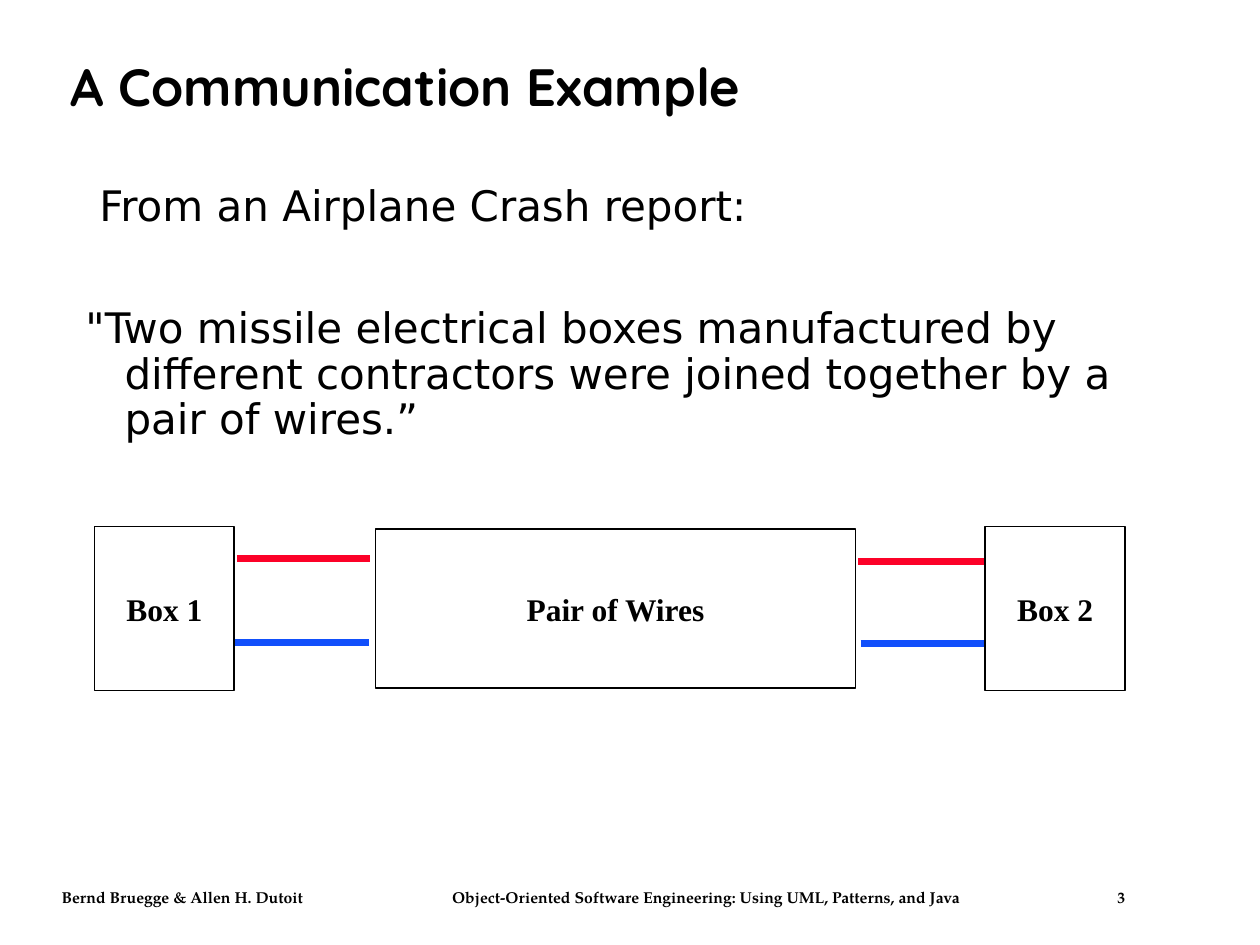
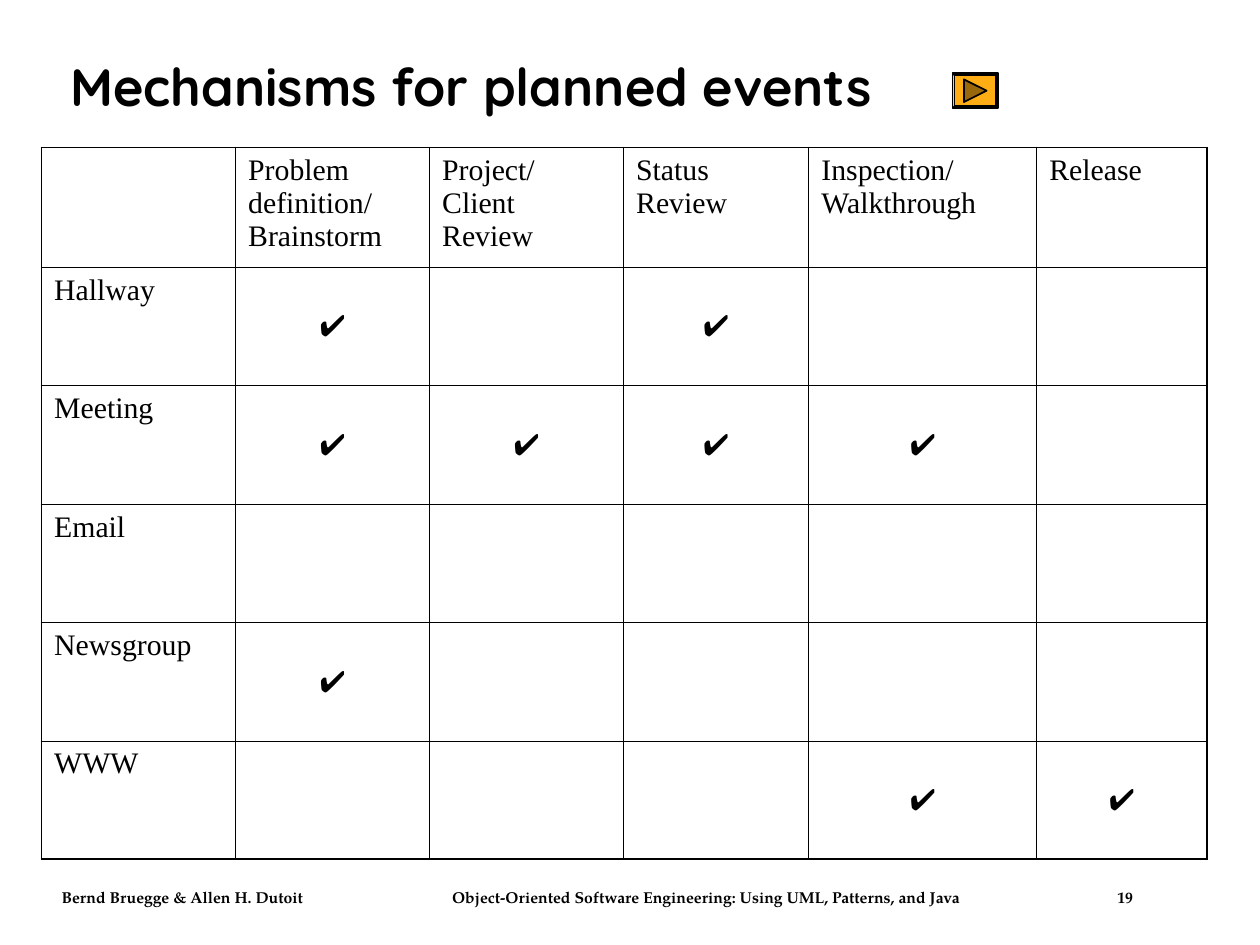
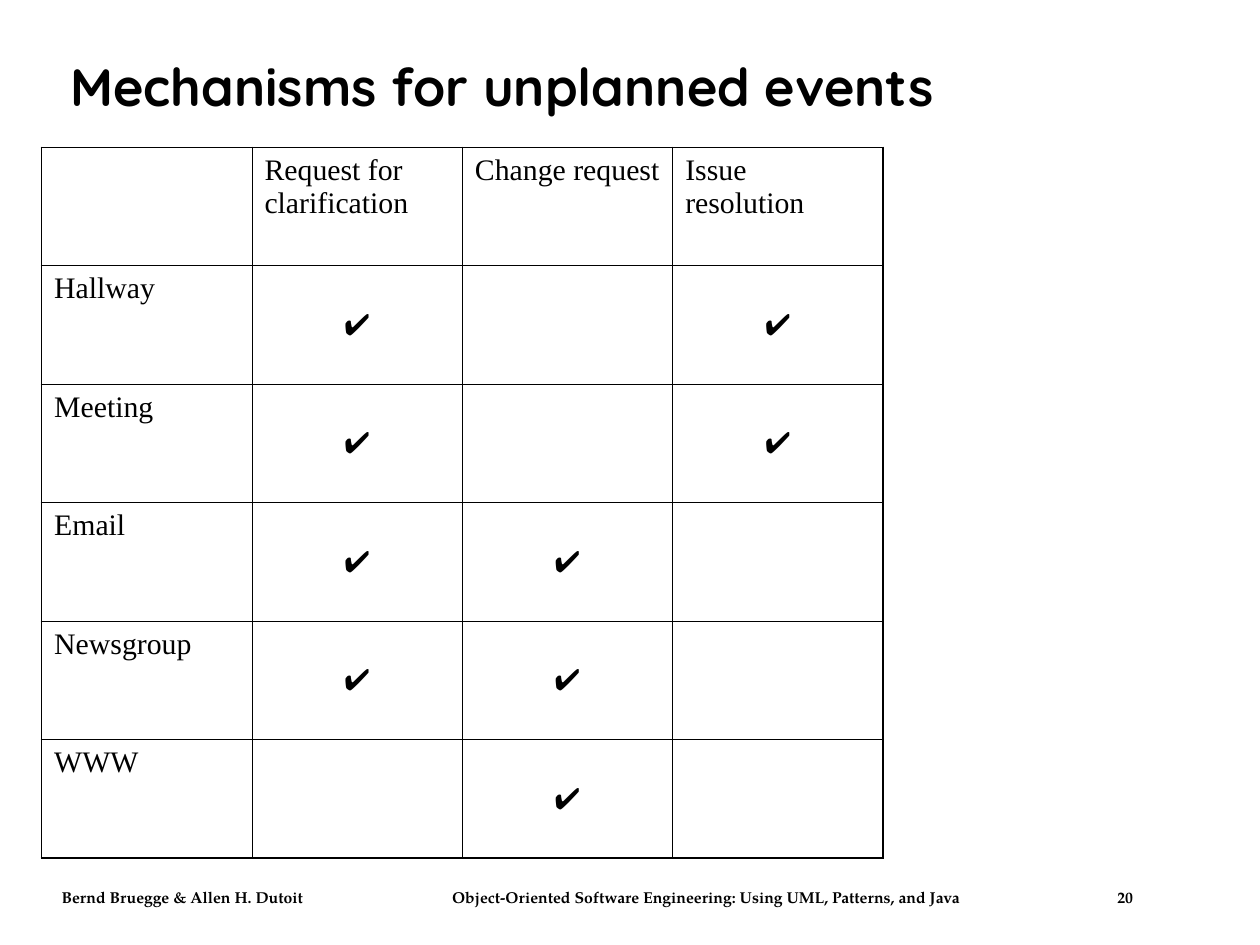
from collections import namedtuple

from lxml.etree import SubElement
from pptx import Presentation
from pptx.dml.color import RGBColor
from pptx.enum.shapes import MSO_CONNECTOR, MSO_SHAPE
from pptx.enum.text import MSO_ANCHOR, PP_ALIGN
from pptx.oxml.ns import qn
from pptx.util import Inches, Pt

BLACK = RGBColor(0x00, 0x00, 0x00)
WHITE = RGBColor(0xFF, 0xFF, 0xFF)
RED = RGBColor(0xFC, 0x01, 0x28)
BLUE = RGBColor(0x11, 0x4F, 0xFB)
ORANGE = RGBColor(0xFF, 0xAD, 0x14)
BROWN = RGBColor(0x99, 0x68, 0x0C)

TITLE_FONT = "Quicksand"
BODY_FONT = "DejaVu Sans"
FOOTER_FONT = "TeX Gyre Pagella"
LABEL_FONT = "Times New Roman"
MARK_FONT = "Arial"

Box = namedtuple("Box", "left top width height")
TITLE_BOX = Box(0.46, 0.24, 8.92, 0.94)
BODY_BOX = Box(0.58, 1.42, 8.75, 5.25)
FOOTER_BOX = Box(0.39, 7, 9.17, 0.25)
WIRING_BOX = Box(0.75, 4.18, 8.18, 1.3)
BUTTON_BOX = Box(7.56, 0.58, 0.36, 0.28)
TABLE_LEFT, TABLE_TOP, ROW_HEIGHT = 0.33, 1.17, 0.94

AUTHORS = "Bernd Bruegge & Allen H. Dutoit"
BOOK = "Object-Oriented Software Engineering: Using UML, Patterns, and Java"
CHECK = "✔"
MECHANISMS = ["Hallway", "Meeting", "Email", "Newsgroup", "WWW"]
PLANNED = {
    "Problem definition/\nBrainstorm": ["Hallway", "Meeting", "Newsgroup"],
    "Project/\nClient Review": ["Meeting"],
    "Status Review": ["Hallway", "Meeting"],
    "Inspection/\nWalkthrough": ["Meeting", "WWW"],
    "Release": ["WWW"],
}
UNPLANNED = {
    "Request for clarification": ["Hallway", "Meeting", "Email", "Newsgroup"],
    "Change request": ["Email", "Newsgroup", "WWW"],
    "Issue resolution": ["Hallway", "Meeting"],
}


def write_text(frame, text, font=LABEL_FONT, size=18, bold=False, align=PP_ALIGN.LEFT,
               spacing=None, before=None, margin=0, indent=0, tabs=()):
    """Write one paragraph, filling the empty first one before adding more."""
    para = frame.add_paragraph() if frame.text else frame.paragraphs[0]
    properties = para._p.get_or_add_pPr()
    if margin or indent:
        properties.set("marL", str(Inches(margin)))
        properties.set("indent", str(Inches(indent)))
    if tabs:
        tab_list = SubElement(properties, qn("a:tabLst"))
        for stop in tabs:
            SubElement(tab_list, qn("a:tab"), pos=str(Inches(stop)), algn="l")
    para.text = text
    para.alignment = align
    para.line_spacing = spacing
    if before:
        para.space_before = Pt(before)
    for span in para.runs:
        span.font.name = font
        span.font.size = Pt(size)
        span.font.bold = bold
        span.font.color.rgb = BLACK


def add_frame(page, box, anchor=MSO_ANCHOR.TOP):
    """Add a wrapping text box and return its text frame."""
    frame = page.shapes.add_textbox(*map(Inches, box)).text_frame
    frame.word_wrap = True
    frame.vertical_anchor = anchor
    return frame


def add_outlined(page, kind, box, fill=WHITE):
    """Add a preset shape with a thin black outline."""
    shape = page.shapes.add_shape(kind, *map(Inches, box))
    shape.shadow.inherit = False
    shape.fill.solid()
    shape.fill.fore_color.rgb = fill
    shape.line.color.rgb = BLACK
    shape.line.width = Pt(1)
    return shape


def add_labelled_box(page, box, label):
    """Add a white rectangle with a centred bold label."""
    frame = add_outlined(page, MSO_SHAPE.RECTANGLE, box).text_frame
    frame.word_wrap = False
    frame.vertical_anchor = MSO_ANCHOR.MIDDLE
    write_text(frame, label, bold=True, align=PP_ALIGN.CENTER)


def add_wire(page, start, end, height, color):
    """Add a thick horizontal wire."""
    wire = page.shapes.add_connector(
        MSO_CONNECTOR.STRAIGHT, *map(Inches, (start, height, end, height)))
    wire.line.color.rgb = color
    wire.line.width = Pt(4)
    SubElement(wire._element.spPr, qn("a:effectLst"))


def add_wiring(page, box):
    """Draw two boxes joined through a pair of wires."""
    end_width = 1.11
    add_labelled_box(page, Box(box.left + 2.23, box.top + 0.02, 3.81, 1.26), "Pair of Wires")
    for start, end, drop, color in [(1.13, 2.19, 0.25, RED), (1.08, 2.18, 0.92, BLUE),
                                    (6.08, 7.08, 0.93, BLUE), (6.06, 7.14, 0.28, RED)]:
        add_wire(page, box.left + start, box.left + end, box.top + drop, color)
    for offset, label in [(0, "Box 1"), (box.width - end_width, "Box 2")]:
        add_labelled_box(
            page, Box(box.left + offset, box.top, end_width, box.height), label)


def add_play_button(page, box):
    """Draw a bevelled button with a triangle pointing right."""
    frame = add_outlined(page, MSO_SHAPE.BEVEL, box, ORANGE)
    frame.adjustments[0] = 0.06
    side = 0.18
    triangle_box = Box(box.left + (box.width - side) / 2,
                       box.top + (box.height - side) / 2, side, side)
    add_outlined(page, MSO_SHAPE.ISOSCELES_TRIANGLE, triangle_box, BROWN).rotation = 90


def set_borders(cell, widths):
    """Draw black borders in the order left, right, top, bottom."""
    properties = cell._tc.get_or_add_tcPr()
    for side, width in zip("LRTB", widths):
        line = SubElement(properties, qn(f"a:ln{side}"), w=str(Pt(width)))
        fill = SubElement(line, qn("a:solidFill"))
        SubElement(fill, qn("a:srgbClr"), val=str(BLACK))


def add_matrix(page, events, widths, header_height=ROW_HEIGHT):
    """Add a table that checks the mechanisms used for each event."""
    heights = [header_height] + [ROW_HEIGHT] * len(MECHANISMS)
    box = Box(TABLE_LEFT, TABLE_TOP, sum(widths), sum(heights))
    table = page.shapes.add_table(len(heights), len(widths), *map(Inches, box)).table
    table.first_row = table.horz_banding = False
    for column, width in zip(table.columns, widths):
        column.width = Inches(width)
    for row, height in zip(table.rows, heights):
        row.height = Inches(height)
    rows = [["", *events]]
    for name in MECHANISMS:
        rows.append([name] + [CHECK if name in used else "" for used in events.values()])
    for r, texts in enumerate(rows):
        for c, text in enumerate(texts):
            cell = table.cell(r, c)
            outer = (c == 0, c == len(widths) - 1, r == 0, r == len(rows) - 1)
            set_borders(cell, [1.08 if edge else 0.45 for edge in outer])
            cell.fill.solid()
            cell.fill.fore_color.rgb = WHITE
            if text == CHECK:
                cell.vertical_anchor = MSO_ANCHOR.MIDDLE
                write_text(cell.text_frame, text, font=MARK_FONT, size=17,
                           align=PP_ALIGN.CENTER)
            elif text:
                write_text(cell.text_frame, text, size=17)


def add_page(deck, title, number):
    """Add a blank page with the shared footer and title."""
    page = deck.slides.add_slide(deck.slide_layouts[6])
    write_text(add_frame(page, FOOTER_BOX), f"{AUTHORS}\t{BOOK}\t{number}",
               font=FOOTER_FONT, size=9, bold=True, tabs=(3.1, 8.38))
    write_text(add_frame(page, TITLE_BOX, MSO_ANCHOR.MIDDLE), title,
               font=TITLE_FONT, size=30, bold=True, spacing=0.9)
    return page


def add_report(page, box):
    """Write the introduction and the quotation from the report."""
    frame = add_frame(page, box)
    style = dict(font=BODY_FONT, size=24, spacing=0.9, margin=0.31)
    write_text(frame, "From an Airplane Crash report:", indent=-0.2, **style)
    write_text(frame, "\"Two missile electrical boxes manufactured by different "
               "contractors were joined together by a pair of wires.”",
               indent=-0.31, before=44, **style)


def main():
    """Build and save the deck."""
    deck = Presentation()
    deck.slide_width, deck.slide_height = Inches(10), Inches(7.5)

    page = add_page(deck, "A Communication Example", 3)
    add_wiring(page, WIRING_BOX)
    add_report(page, BODY_BOX)

    page = add_page(deck, "Mechanisms for planned events", 19)
    add_matrix(page, PLANNED, [1.54, 1.54, 1.54, 1.47, 1.81, 1.35], header_height=0.95)
    add_play_button(page, BUTTON_BOX)

    page = add_page(deck, "Mechanisms for unplanned events", 20)
    add_matrix(page, UNPLANNED, [1.67] * 4)

    deck.save("out.pptx")


if __name__ == "__main__":
    main()
